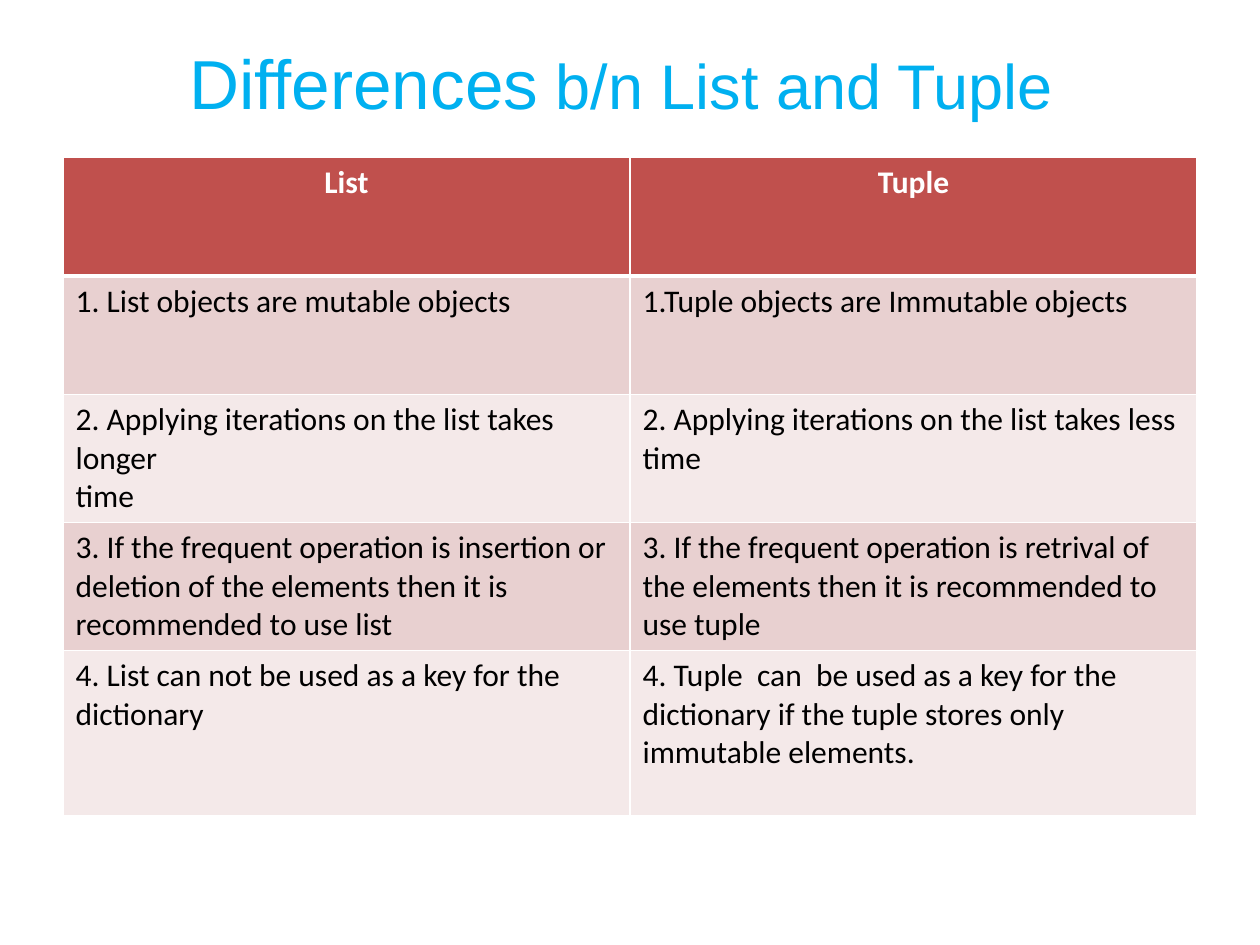
import dataclasses

import pptx
import pptx.dml.color
import pptx.enum.text
import pptx.oxml
import pptx.oxml.ns
import pptx.util

Inches, Pt = pptx.util.Inches, pptx.util.Pt
PP_ALIGN = pptx.enum.text.PP_ALIGN


@dataclasses.dataclass(frozen=True)
class Theme:
    title_color: str = "00B0F0"
    header_fill: str = "C0504D"
    header_text: str = "FFFFFF"
    band_fills: tuple = ("E8D0D0", "F4E9E9")
    body_text: str = "000000"
    border: str = "FFFFFF"
    title_font: str = "Arial"
    table_font: str = "Calibri"
    title_big: float = 39.6
    title_small: float = 36
    table_size: float = 18


THEME = Theme()

# Each cell is a list of paragraphs.
ROWS = [
    (["List"], ["Tuple"]),
    (["1. List objects are mutable objects"],
     ["1.Tuple objects are Immutable objects"]),
    (["2. Applying iterations on the list takes longer", "time"],
     ["2. Applying iterations on the list takes less", "time"]),
    (["3. If the frequent operation is insertion or",
      "deletion of the elements then it is recommended to use list"],
     ["3. If the frequent operation is retrival of the elements "
      "then it is recommended to use tuple"]),
    (["4. List can not be used as a key for the dictionary"],
     ["4. Tuple  can  be used as a key for the dictionary if the tuple "
      "stores only immutable elements."]),
]
ROW_HEIGHTS = [0.94, 0.94, 1.01, 1.01, 1.31]


def rgb(value):
    return pptx.dml.color.RGBColor.from_string(value)


def add_run(p, text, font, size, color, bold=False):
    r = p.add_run()
    r.text = text
    r.font.name = font
    r.font.size = Pt(size)
    r.font.bold = bold
    r.font.color.rgb = rgb(color)


def add_title(s):
    sp = s.shapes.title
    sp.left, sp.top = Inches(0.5), Inches(0.3)
    sp.width, sp.height = Inches(9), Inches(0.7)
    tf = sp.text_frame
    tf.vertical_anchor = pptx.enum.text.MSO_ANCHOR.MIDDLE
    p = tf.paragraphs[0]
    p.alignment = PP_ALIGN.CENTER
    for text, size in (("Differences", THEME.title_big),
                       (" b/n List and Tuple ", THEME.title_small)):
        add_run(p, text, THEME.title_font, size, THEME.title_color)


def set_borders(cell, top, bottom):
    """Draw the four cell edges; top and bottom are widths in points."""
    tc_pr = cell._tc.get_or_add_tcPr()
    edges = (("lnL", 1), ("lnR", 1), ("lnT", top), ("lnB", bottom))
    for i, (tag, width) in enumerate(edges):
        tc_pr.insert(i, pptx.oxml.parse_xml(
            f'<a:{tag} {pptx.oxml.ns.nsdecls("a")} w="{Pt(width)}"><a:solidFill>'
            f'<a:srgbClr val="{THEME.border}"/></a:solidFill></a:{tag}>'))


def fill_cell(cell, row, paragraphs):
    header = row == 0
    fill = THEME.header_fill if header else THEME.band_fills[(row - 1) % 2]
    color = THEME.header_text if header else THEME.body_text
    cell.fill.solid()
    cell.fill.fore_color.rgb = rgb(fill)
    set_borders(cell, top=3 if row == 1 else 1, bottom=3 if header else 1)
    tf = cell.text_frame
    for i, text in enumerate(paragraphs):
        p = tf.add_paragraph() if i else tf.paragraphs[0]
        p.alignment = PP_ALIGN.CENTER if header else PP_ALIGN.LEFT
        add_run(p, text, THEME.table_font, THEME.table_size, color, header)


def add_comparison_table(s):
    table = s.shapes.add_table(
        len(ROWS), 2, Inches(0.5), Inches(1.25),
        Inches(9), Inches(sum(ROW_HEIGHTS))).table
    for row, (texts, height) in enumerate(zip(ROWS, ROW_HEIGHTS)):
        table.rows[row].height = Inches(height)
        for col, paragraphs in enumerate(texts):
            fill_cell(table.cell(row, col), row, paragraphs)


def main():
    prs = pptx.Presentation()
    prs.slide_width, prs.slide_height = Inches(10), Inches(7.5)
    s = prs.slides.add_slide(prs.slide_layouts[5])
    add_title(s)
    add_comparison_table(s)
    prs.save("out.pptx")


if __name__ == "__main__":
    main()
